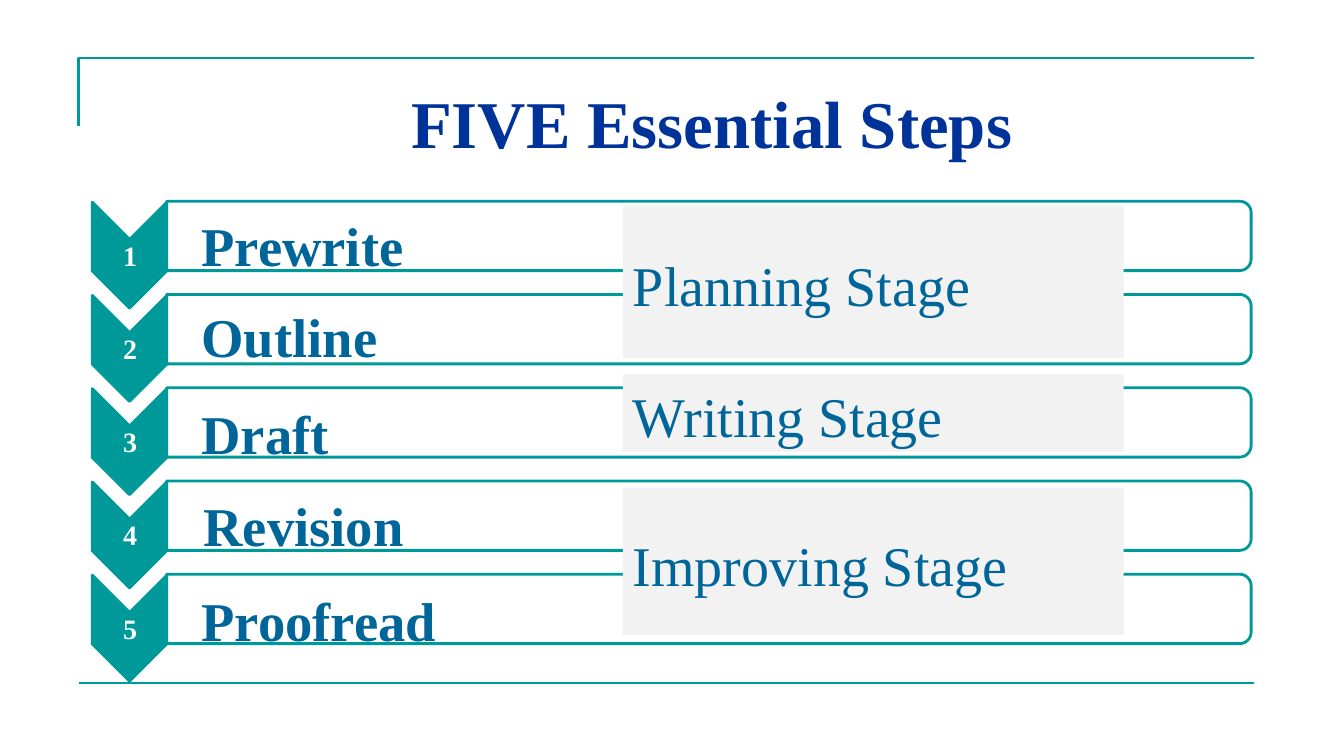
from lxml.etree import SubElement
from pptx import Presentation
from pptx.dml.color import RGBColor
from pptx.enum.shapes import MSO_CONNECTOR, MSO_SHAPE
from pptx.enum.text import MSO_ANCHOR, PP_ALIGN
from pptx.oxml.ns import qn
from pptx.util import Cm, Pt

TEAL = RGBColor(0x00, 0x99, 0x99)
NAVY = RGBColor(0x00, 0x33, 0x99)
BLUE = RGBColor(0x00, 0x66, 0x99)
WHITE = RGBColor(0xFF, 0xFF, 0xFF)
GREY = RGBColor(0xF2, 0xF2, 0xF2)
FONT = "Times New Roman"
STEP_PITCH = 2.35
STEPS = [
    ("Prewrite", 4.83, 5.03),
    ("Outline", 4.83, 7.34),
    ("Draft", 4.83, 9.78),
    ("Revision", 4.88, 12.09),
    ("Proofread", 4.83, 14.48),
]
STAGES = [
    ("Planning Stage", 5.18, 3.84),
    ("Writing Stage", 9.42, 1.96),
    ("Improving Stage", 12.29, 3.71),
]


def write(shape, text, size, color, bold=False, align=PP_ALIGN.LEFT):
    paragraph = shape.text_frame.paragraphs[0]
    paragraph.alignment = align
    run = paragraph.add_run()
    run.text = text
    run.font.name = FONT
    run.font.size = Pt(size)
    run.font.bold = bold
    run.font.color.rgb = color


def add_title(slide, text):
    title = slide.shapes.title
    title.left, title.top, title.width, title.height = Cm(2.46), Cm(0.91), Cm(29.06), Cm(3.18)
    frame = title.text_frame
    frame.vertical_anchor = MSO_ANCHOR.BOTTOM
    frame.margin_left, frame.margin_bottom = Cm(7.9), Cm(0)
    write(title, text, 47.7, NAVY, bold=True)


def add_frame(slide):
    left, top, right = Cm(1.98), Cm(1.47), Cm(31.6)
    builder = slide.shapes.build_freeform(left, Cm(3.18))
    builder.add_line_segments([(left, top), (right, top)], close=False)
    corner = builder.convert_to_shape()
    corner.shadow.inherit = False
    corner.fill.background()
    bottom = Cm(17.2)
    rule = slide.shapes.add_connector(MSO_CONNECTOR.STRAIGHT, left, bottom, right, bottom)
    SubElement(rule._element.spPr, qn("a:effectLst"))
    for outline in (corner.line, rule.line):
        outline.color.rgb = TEAL
        outline.width = Pt(1.5)


def add_shape(slide, kind, left, top, width, height, fill):
    shape = slide.shapes.add_shape(kind, Cm(left), Cm(top), Cm(width), Cm(height))
    shape.shadow.inherit = False
    shape.fill.solid()
    shape.fill.fore_color.rgb = fill
    return shape


def add_turned_shape(slide, kind, left, top, width, height, fill):
    shape = add_shape(slide, kind, left, top, width, height, fill)
    shape.rotation = 90
    shape.line.color.rgb = TEAL
    shape.line.width = Pt(2)
    return shape


def add_text_box(slide, left, top, width, height):
    box = slide.shapes.add_textbox(Cm(left), Cm(top), Cm(width), Cm(height))
    box.text_frame.word_wrap = True
    return box


def add_step_row(slide, index):
    offset = index * STEP_PITCH
    add_turned_shape(slide, MSO_SHAPE.CHEVRON, 1.93, 5.49 + offset, 2.67, 1.88, TEAL)
    number = add_text_box(slide, 2.34, 6.02 + offset, 1.88, 0.81)
    frame = number.text_frame
    frame.vertical_anchor = MSO_ANCHOR.MIDDLE
    frame.margin_left = frame.margin_right = frame.margin_top = frame.margin_bottom = Cm(0.03)
    write(number, str(index + 1), 20, WHITE, bold=True, align=PP_ALIGN.CENTER)
    bar = add_turned_shape(slide, MSO_SHAPE.ROUND_2_SAME_RECTANGLE,
                           16.99, -7.72 + offset, 1.75, 27.33, WHITE)
    color = bar._element.spPr.find(qn("a:solidFill"))[0]
    SubElement(color, qn("a:alpha"), val="90000")


def add_stage(slide, name, top, height):
    stage = add_shape(slide, MSO_SHAPE.RECTANGLE, 15.7, top, 12.62, height, GREY)
    stage.line.fill.background()
    frame = stage.text_frame
    frame.word_wrap = True
    frame.vertical_anchor = MSO_ANCHOR.MIDDLE
    frame.margin_top = Cm(0.25)
    write(stage, name, 40, BLUE)


def add_step_name(slide, name, left, top):
    box = add_text_box(slide, left, top, 8, 1.93)
    box.text_frame.margin_top = Cm(0.3)
    write(box, name, 39, BLUE, bold=True)


def main():
    """Build the slide of five writing steps and their three stages."""
    presentation = Presentation()
    presentation.slide_width, presentation.slide_height = Cm(33.87), Cm(19.05)
    slide = presentation.slides.add_slide(presentation.slide_layouts[5])
    add_frame(slide)
    add_title(slide, "FIVE Essential Steps")
    for index in range(len(STEPS)):
        add_step_row(slide, index)
    for name, top, height in STAGES:
        add_stage(slide, name, top, height)
    for name, left, top in STEPS:
        add_step_name(slide, name, left, top)
    presentation.save("out.pptx")


if __name__ == "__main__":
    main()
